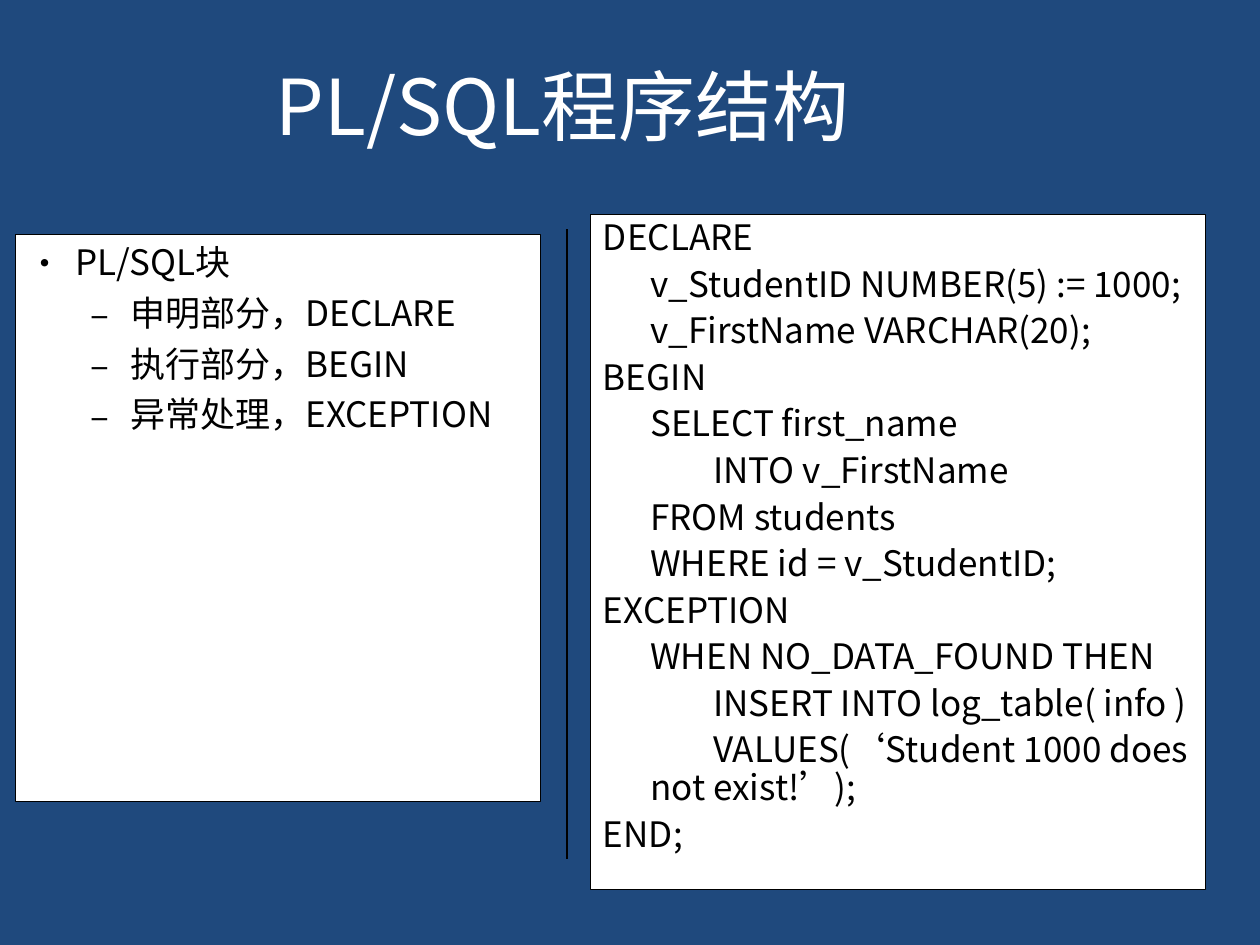
from lxml.etree import SubElement
from pptx import Presentation
from pptx.dml.color import RGBColor
from pptx.enum.shapes import MSO_CONNECTOR, MSO_SHAPE
from pptx.enum.text import MSO_ANCHOR, MSO_AUTO_SIZE, PP_ALIGN
from pptx.oxml.ns import qn
from pptx.util import Pt

TITLE = "PL/SQL程序结构"
BLOCK_PARTS = [
    (0, "PL/SQL块"),
    (1, "申明部分，DECLARE"),
    (1, "执行部分，BEGIN"),
    (1, "异常处理，EXCEPTION"),
]
CODE = [
    "DECLARE",
    "\tv_StudentID NUMBER(5) := 1000;",
    "\tv_FirstName VARCHAR(20);",
    "BEGIN",
    "\tSELECT first_name",
    "\t\tINTO v_FirstName",
    "\tFROM students",
    "\tWHERE id = v_StudentID;",
    "EXCEPTION",
    "\tWHEN NO_DATA_FOUND THEN",
    "\t\tINSERT INTO log_table( info )",
    "\t\tVALUES(‘Student 1000 does not exist!’);",
    "END;",
]
COLORS = {"navy": "1F497D", "white": "FFFFFF", "black": "000000"}
FONT = "Noto Sans CJK SC"
LEVELS = [
    {"bullet": "•", "margin": 27, "indent": -27},
    {"bullet": "–", "margin": 58.5, "indent": -22.5},
]
TAB_STEP = 72
TITLE_AREA = (3, 19.5, 637, 81)
BLOCK_AREA = (8.75, 134, 300, 324)
CODE_AREA = (337.5, 122.5, 351.5, 386)
DIVIDER = (324, 131, 324, 491)


def color(name):
    return RGBColor.from_string(COLORS[name])


def place(box, area, fill, line):
    box.left, box.top, box.width, box.height = map(Pt, area)
    box.fill.solid()
    box.fill.fore_color.rgb = color(fill)
    box.line.color.rgb = color(line)
    box.line.width = Pt(0.75)
    box.text_frame.word_wrap = True
    box.text_frame.auto_size = MSO_AUTO_SIZE.NONE


def write(para, text, size=20, ink="black", align=PP_ALIGN.LEFT, before=0,
          spacing=None, level=0, margin=0, indent=0, bullet=None, first_tab=None):
    para.alignment = align
    para.level = level
    para.space_before = Pt(before)
    para.line_spacing = spacing
    props = para._p.get_or_add_pPr()
    props.set("marL", str(Pt(margin)))
    props.set("indent", str(Pt(indent)))
    if bullet:
        SubElement(props, qn("a:buFont"), typeface=FONT)
        SubElement(props, qn("a:buChar"), char=bullet)
    else:
        SubElement(props, qn("a:buNone"))
    if first_tab is not None:
        tabs = SubElement(props, qn("a:tabLst"))
        for number in range(8):
            stop = str(Pt((first_tab + number) * TAB_STEP))
            SubElement(tabs, qn("a:tab"), pos=stop, algn="l")
    span = para.add_run()
    span.text = text
    span.font.size = Pt(size)
    span.font.color.rgb = color(ink)
    span.font.name = FONT
    SubElement(span._r.get_or_add_rPr(), qn("a:ea"), typeface=FONT)


def add_panel(page, area, lines):
    box = page.shapes.add_shape(MSO_SHAPE.RECTANGLE, *map(Pt, area))
    box.shadow.inherit = False
    place(box, area, "white", "black")
    frame = box.text_frame
    frame.vertical_anchor = MSO_ANCHOR.TOP
    for number, (text, style) in enumerate(lines):
        para = frame.add_paragraph() if number else frame.paragraphs[0]
        write(para, text, before=5 if number else 0, **style)


def main():
    deck = Presentation()
    deck.slide_width, deck.slide_height = Pt(720), Pt(540)
    page = deck.slides.add_slide(deck.slide_layouts[5])
    page.background.fill.solid()
    page.background.fill.fore_color.rgb = color("navy")

    title = page.shapes.title
    place(title, TITLE_AREA, "navy", "navy")
    title.text_frame.vertical_anchor = MSO_ANCHOR.MIDDLE
    write(title.text_frame.paragraphs[0], TITLE, size=44, ink="white",
          align=PP_ALIGN.CENTER)

    add_panel(page, BLOCK_AREA, [
        (text, {"level": level, "first_tab": 1, **LEVELS[level]})
        for level, text in BLOCK_PARTS
    ])
    code_style = {"margin": 27, "indent": -27, "spacing": 0.9, "first_tab": 0}
    add_panel(page, CODE_AREA, [(text, code_style) for text in CODE])

    divider = page.shapes.add_connector(MSO_CONNECTOR.STRAIGHT, *map(Pt, DIVIDER))
    divider.line.color.rgb = color("black")
    divider.line.width = Pt(0.75)
    SubElement(divider._element.spPr, qn("a:effectLst"))

    deck.save("out.pptx")


if __name__ == "__main__":
    main()
